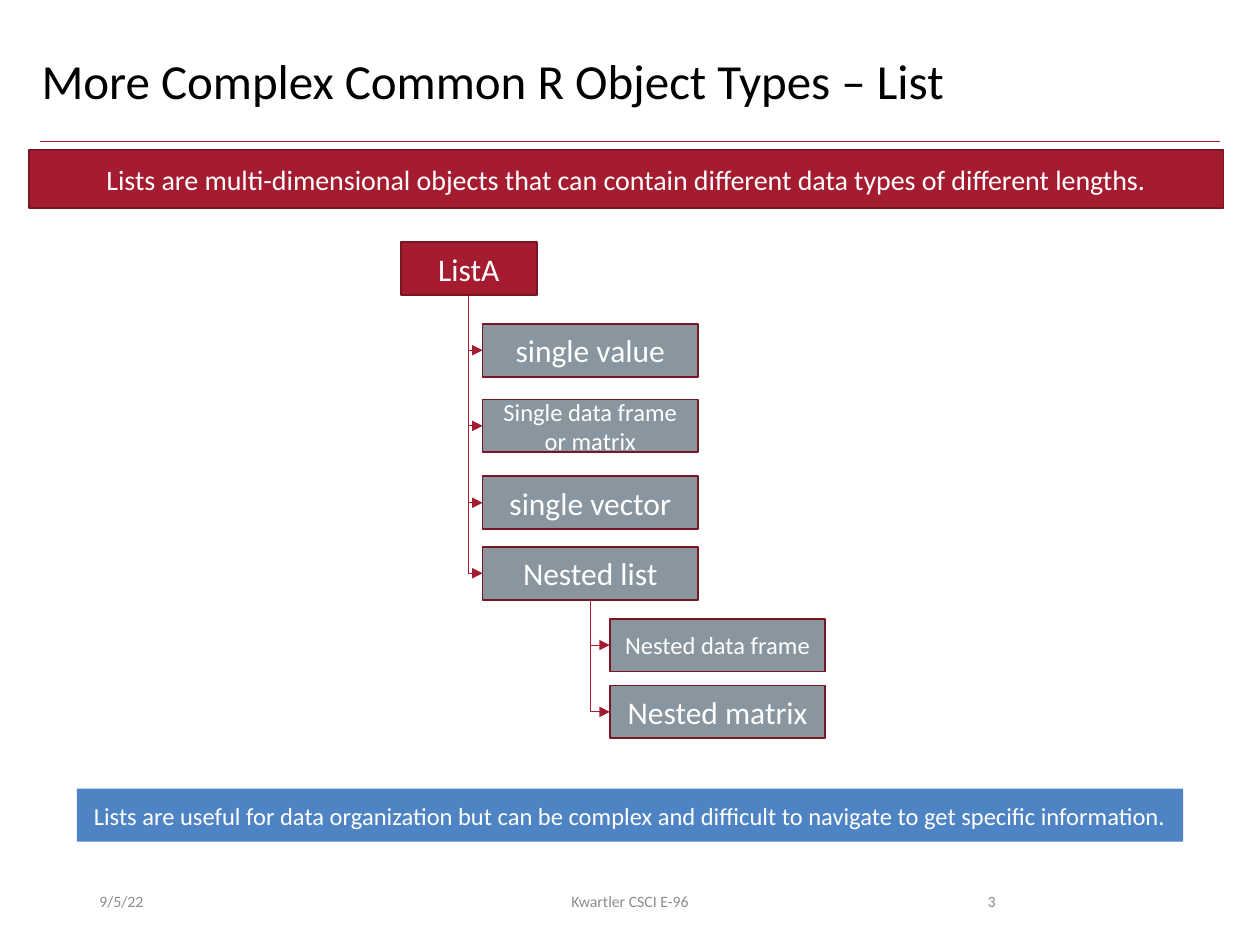
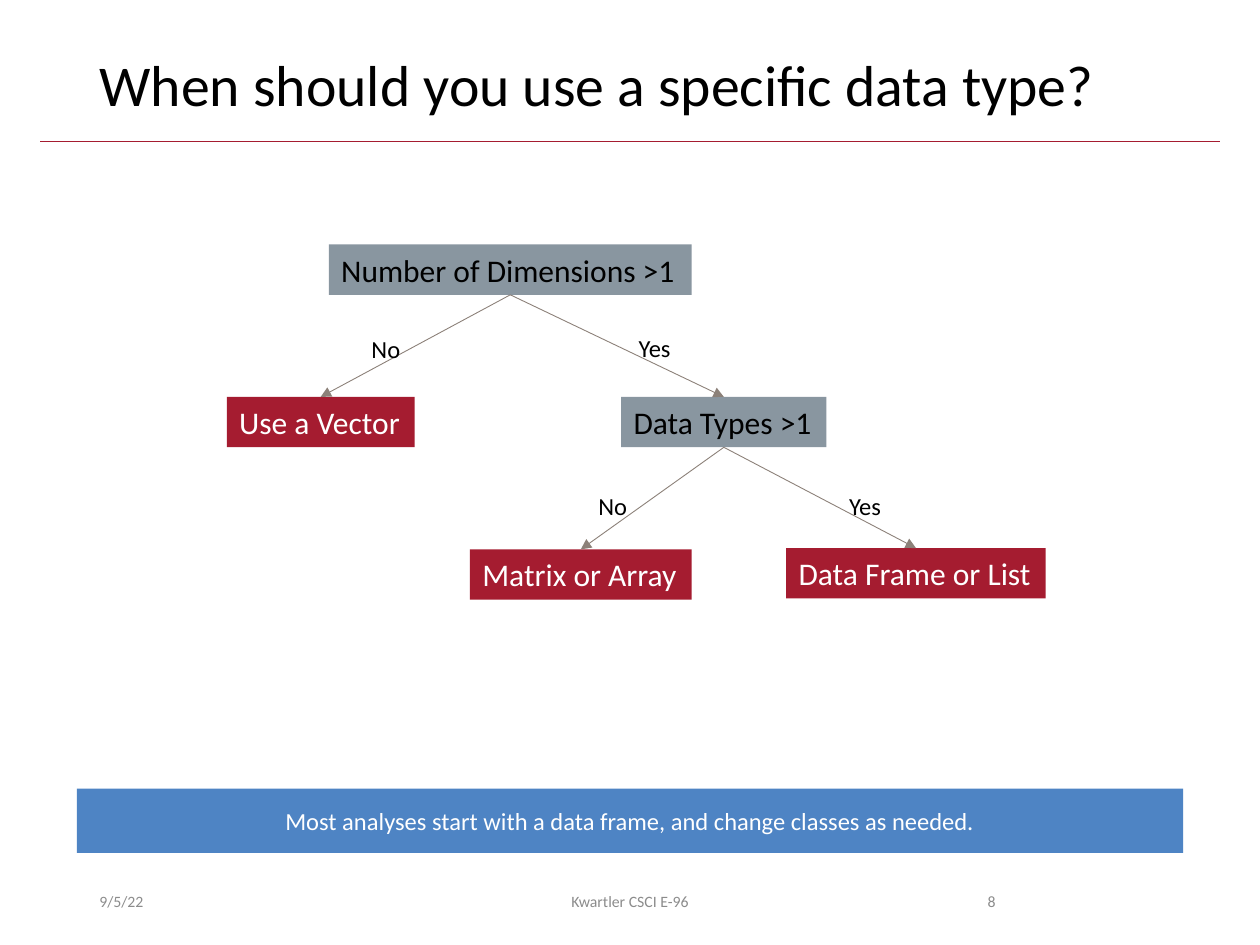
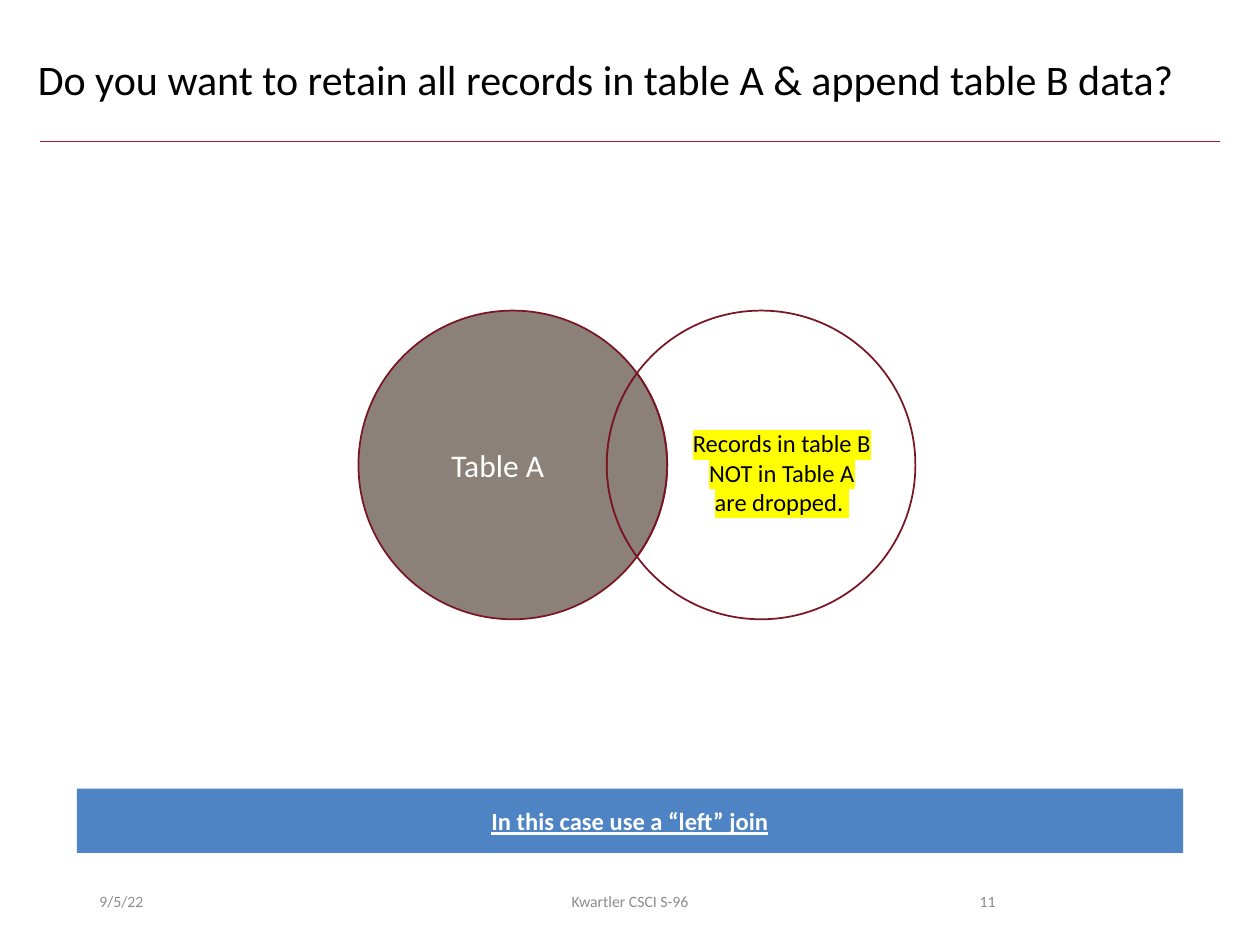
import math
from dataclasses import dataclass
from typing import Optional

from lxml import etree
from pptx import Presentation
from pptx import util as u
from pptx.dml.color import RGBColor
from pptx.enum import shapes as es, text as et
from pptx.oxml.ns import qn

PX = 9144
FONT = "Calibri"
HUES = {
    "red": "A51C30", "dark": "7A1524", "slate": "8996A0", "blue": "4E84C4",
    "taupe": "8C8179", "grey": "8C8C8C", "black": "000000",
    "white": "FFFFFF", "yellow": "FFFF00",
}
LEFT, MID, RIGHT = et.PP_ALIGN.LEFT, et.PP_ALIGN.CENTER, et.PP_ALIGN.RIGHT
BOTTOM, TOP, SIDE = 2, 0, 1


@dataclass
class Box:
    left: int
    top: int
    width: int
    height: int
    text: str
    size: int = 18
    ink: str = "white"
    fill: Optional[str] = None
    edge: Optional[str] = None
    align: int = MID
    middle: bool = True
    wrap: bool = True
    grow: bool = False
    strong: bool = False
    mark: Optional[str] = None


@dataclass
class Page:
    title: str
    size: int
    spot: tuple
    course: str
    number: int


@dataclass
class Arc:
    hub: int
    first: float
    last: float
    mid: int = 369
    reach: float = 122.5

    def spot(self, turned: float, slope: float = 0) -> list:
        cos, sin = math.cos(turned), math.sin(turned)
        return px(self.hub + self.reach * (cos - slope * sin),
                  self.mid + self.reach * (sin + slope * cos))

    def knots(self) -> list:
        low, high = sorted((self.first, self.last))
        quads = [i * math.pi / 2 for i in range(-2, 8)]
        inner = [q for q in quads if low < q < high]
        stops = [low, *inner, high]
        return stops if self.first == low else stops[::-1]

    def bends(self) -> list:
        stops = self.knots()
        found = []
        for here, there in zip(stops, stops[1:]):
            slope = 4 / 3 * math.tan((there - here) / 4)
            found.append((self.spot(here, slope), self.spot(there, -slope),
                          self.spot(there)))
        return found


def px(*vals: float) -> list:
    return [u.Emu(round(v * PX)) for v in vals]


def hue(name: str) -> RGBColor:
    return RGBColor.from_string(HUES[name])


def paint(shape, fill: Optional[str], edge: Optional[str]) -> None:
    shape.shadow.inherit = False
    if fill:
        shape.fill.solid()
        shape.fill.fore_color.rgb = hue(fill)
    else:
        shape.fill.background()
    if edge:
        shape.line.color.rgb = hue(edge)
        shape.line.width = u.Pt(1)
    else:
        shape.line.fill.background()


def write(shape, words: str, size: int, ink: str, align: int = MID,
          middle: bool = True):
    frame = shape.text_frame
    frame.text = words
    frame.word_wrap = True
    frame.vertical_anchor = et.MSO_ANCHOR.MIDDLE if middle else et.MSO_ANCHOR.TOP
    para = frame.paragraphs[0]
    para.alignment = align
    run = para.runs[0]
    run.font.name = FONT
    run.font.size = u.Pt(size)
    run.font.color.rgb = hue(ink)
    return run


def draw(slide, box: Box):
    area = px(box.left, box.top, box.width, box.height)
    if box.fill:
        shape = slide.shapes.add_shape(es.MSO_SHAPE.RECTANGLE, *area)
        paint(shape, box.fill, box.edge)
    else:
        shape = slide.shapes.add_textbox(*area)
    run = write(shape, box.text, box.size, box.ink, box.align, box.middle)
    shape.text_frame.word_wrap = box.wrap
    if box.grow:
        shape.text_frame.auto_size = et.MSO_AUTO_SIZE.SHAPE_TO_FIT_TEXT
    if box.strong:
        run.font.bold = run.font.underline = True
    if box.mark:
        light = etree.Element(qn("a:highlight"))
        etree.SubElement(light, qn("a:srgbClr"), val=HUES[box.mark])
        run.font._element.find(qn("a:solidFill")).addnext(light)
    return shape


def rule(slide, kind: int, ends: list, ink: str, arrow: bool = False):
    line = slide.shapes.add_connector(kind, *ends)
    line.line.color.rgb = hue(ink)
    line.line.width = u.Pt(0.5)
    props = line._element.spPr
    if arrow:
        etree.SubElement(props.find(qn("a:ln")), qn("a:tailEnd"), type="triangle")
    etree.SubElement(props, qn("a:effectLst"))
    return line


def link(slide, start, end, ink: str, bent: bool = False) -> None:
    ends = [start.left + start.width // 2, start.top + start.height]
    if bent:
        ends += [end.left, end.top + end.height // 2]
    else:
        ends += [end.left + end.width // 2, end.top]
    kind = es.MSO_CONNECTOR.ELBOW if bent else es.MSO_CONNECTOR.STRAIGHT
    line = rule(slide, kind, ends, ink, True)
    line.begin_connect(start, BOTTOM)
    line.end_connect(end, SIDE if bent else TOP)
    if bent:
        turn(line)


def turn(line) -> None:
    wide, high = line.width, line.height
    shift = (wide - high) // 2
    line.left, line.top = line.left + shift, line.top - shift
    line.width, line.height = high, wide
    props = line._element.spPr
    form = props.find(qn("a:xfrm"))
    form.set("rot", "16200000")
    form.set("flipH", "1")
    props.find(qn("a:prstGeom")).set("prst", "bentConnector2")


def start(deck, page: Page):
    slide = deck.slides.add_slide(deck.slide_layouts[5])
    title = slide.shapes.title
    title.left, title.top, title.width, title.height = px(*page.spot)
    write(title, page.title, page.size, "black", LEFT, False)
    title.text_frame.auto_size = et.MSO_AUTO_SIZE.NONE
    title.text_frame.paragraphs[0].line_spacing = 0.9
    for left, width, words, align in (
        (69, 225, "9/5/22", LEFT),
        (331, 338, page.course, MID),
        (706, 94, str(page.number), RIGHT),
    ):
        draw(slide, Box(left, 695, width, 40, words, 9, "grey", align=align))
    return slide


def banner(slide, words: str, height: int = 51, strong: bool = False) -> None:
    draw(slide, Box(61, 626, 878, height, words, 14, fill="blue", strong=strong))


def branch(slide, root, left: int, rows: tuple) -> list:
    nodes = []
    for top, words, size in rows:
        node = draw(slide, Box(left, top, 171, 42, words, size,
                               fill="slate", edge="dark"))
        link(slide, root, node, "red", True)
        nodes.append(node)
    return nodes


def lists(deck) -> None:
    slide = start(deck, Page("More Complex Common R Object Types – List", 28,
                             (23, 40, 908, 65), "Kwartler CSCI E-96", 3))
    banner(slide, "Lists are useful for data organization but can be complex "
           "and difficult to navigate to get specific information.", 42)
    draw(slide, Box(23, 119, 948, 46, "Lists are multi-dimensional objects that "
                    "can contain different data types of different lengths.",
                    16, fill="red", edge="dark"))
    root = draw(slide, Box(318, 192, 108, 42, "ListA", fill="red", edge="dark"))
    nodes = branch(slide, root, 383, (
        (257, "single value", 18),
        (317, "Single data frame or matrix", 14),
        (378, "single vector", 18),
        (434, "Nested list", 18),
    ))
    branch(slide, nodes[-1], 484, (
        (491, "Nested data frame", 14),
        (544, "Nested matrix", 18),
    ))


def choice(deck) -> None:
    slide = start(deck, Page("When should you use a specific data type?", 33,
                             (69, 40, 862, 65), "Kwartler CSCI E-96", 8))

    def node(left: int, top: int, width: int, words: str, ask: bool = False):
        return draw(slide, Box(left, top, width, 40, words,
                               ink="black" if ask else "white",
                               fill="slate" if ask else "red", align=LEFT,
                               middle=False, wrap=False, grow=True))

    size = node(261, 194, 288, "Number of Dimensions >1", True)
    vector = node(180, 315, 149, "Use a Vector")
    types = node(493, 315, 163, "Data Types >1", True)
    matrix = node(373, 436, 176, "Matrix or Array")
    frame = node(624, 435, 206, "Data Frame or List")
    for head, leaf in ((size, vector), (size, types),
                       (types, matrix), (types, frame)):
        link(slide, head, leaf, "taupe")
    for left, top, width, words in ((285, 260, 43, "No"), (497, 259, 46, "Yes"),
                                    (465, 385, 43, "No"), (664, 385, 46, "Yes")):
        draw(slide, Box(left, top, width, 34, words, 14, "black", align=LEFT,
                        middle=False, wrap=False, grow=True))
    banner(slide, "Most analyses start with a data frame, "
           "and change classes as needed.")


def region(slide, arcs: tuple, fill: Optional[str]):
    bends = [bend for arc in arcs for bend in arc.bends()]
    pen = slide.shapes.build_freeform(*arcs[0].spot(arcs[0].first))
    pen.add_line_segments([bend[-1] for bend in bends], close=True)
    shape = pen.convert_to_shape()
    steps = list(shape._element.spPr.iter(qn("a:lnTo")))
    for step, bend in zip(steps, bends):
        curve = etree.Element(qn("a:cubicBezTo"))
        for x, y in bend:
            etree.SubElement(curve, qn("a:pt"), x=str(x - shape.left),
                             y=str(y - shape.top))
        step.getparent().replace(step, curve)
    paint(shape, fill, "dark")
    return shape


def venn(deck) -> None:
    slide = start(deck, Page("Do you want to retain all records in table A "
                             "& append table B data?", 24,
                             (20, 42, 965, 65), "Kwartler CSCI S-96", 11))
    banner(slide, "In this case use a “left” join", strong=True)
    a, b = 407, 604
    pi = math.pi
    cut = math.acos((b - a) / 2 / Arc.reach)
    region(slide, (Arc(a, -cut, cut), Arc(b, pi - cut, pi + cut)), "taupe")
    left = region(slide, (Arc(a, cut, 2 * pi - cut),
                          Arc(b, pi + cut, pi - cut)), "taupe")
    write(left, "Table A", 18, "white")
    region(slide, (Arc(b, pi + cut, 3 * pi - cut), Arc(a, cut, -cut)), None)
    draw(slide, Box(539, 335, 163, 81,
                    "Records in table B NOT in Table A are dropped. ", 14,
                    "black", middle=False, grow=True, mark="yellow"))


def divide(deck) -> None:
    line = rule(deck.slides[0], es.MSO_CONNECTOR.STRAIGHT,
                px(32, 112, 968, 112), "red")
    deck.slide_master.shapes._spTree.append(line._element)


def main() -> None:
    deck = Presentation()
    deck.slide_width, deck.slide_height = px(1000, 750)
    for build in (lists, choice, venn):
        build(deck)
    divide(deck)
    deck.save("out.pptx")


if __name__ == "__main__":
    main()
